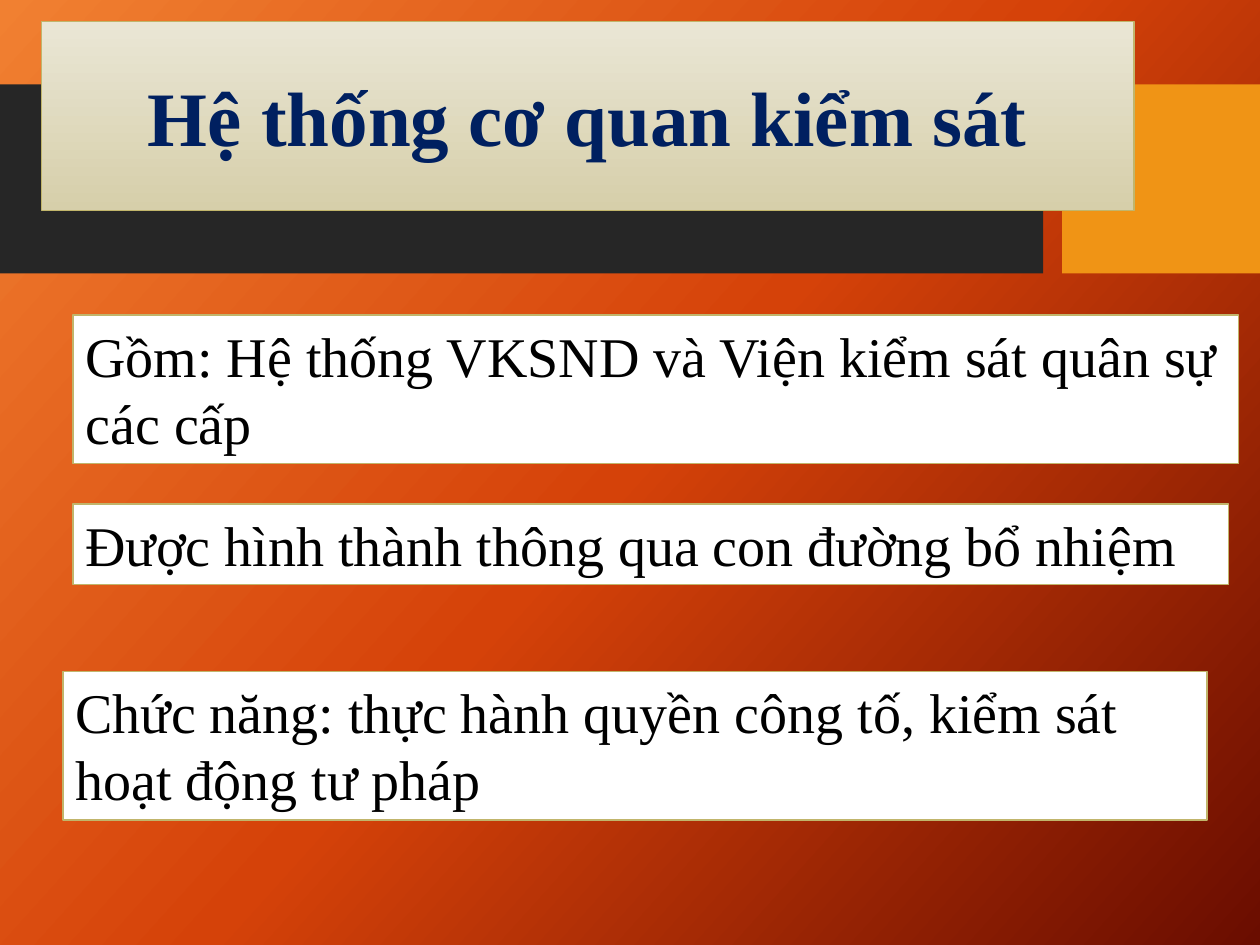
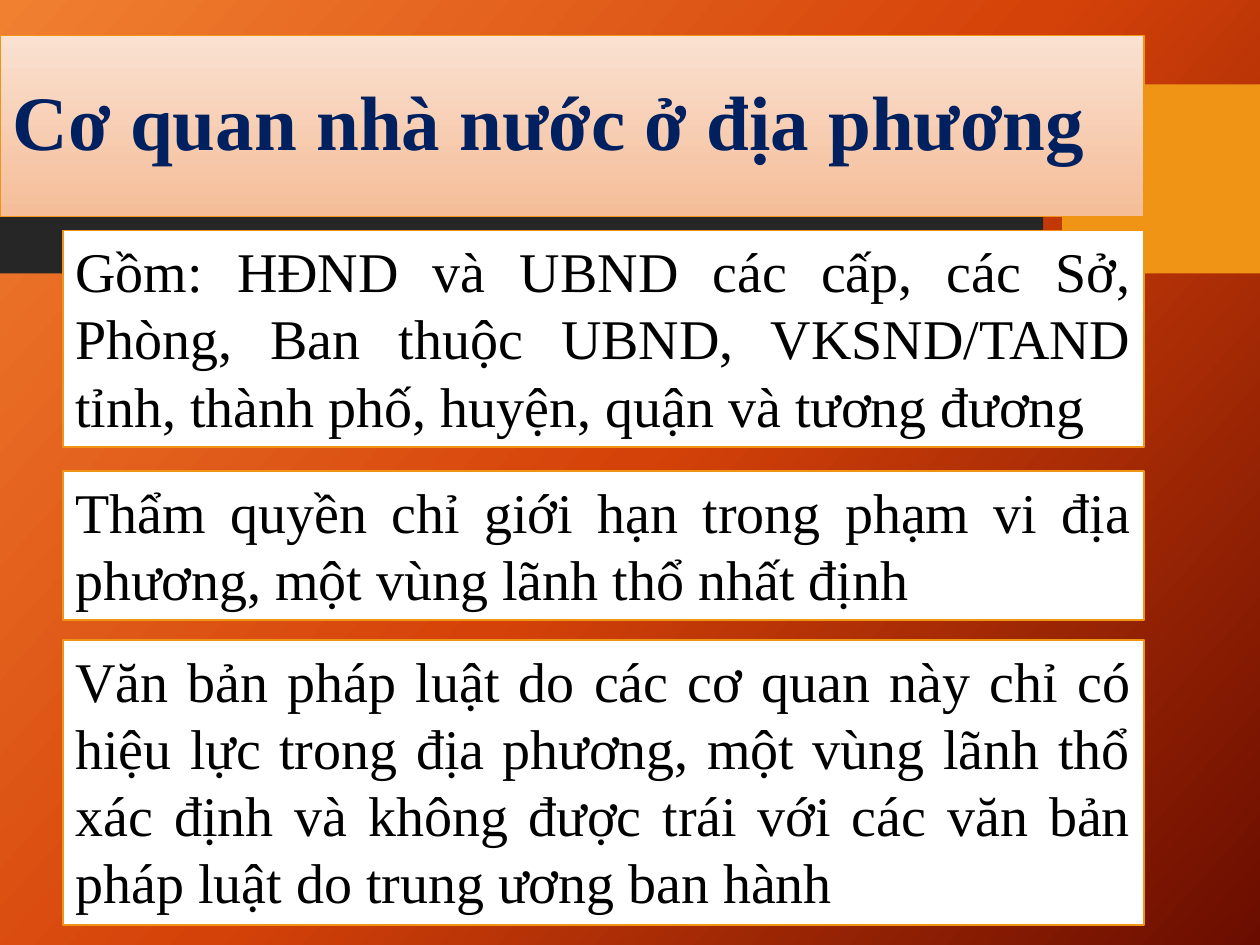
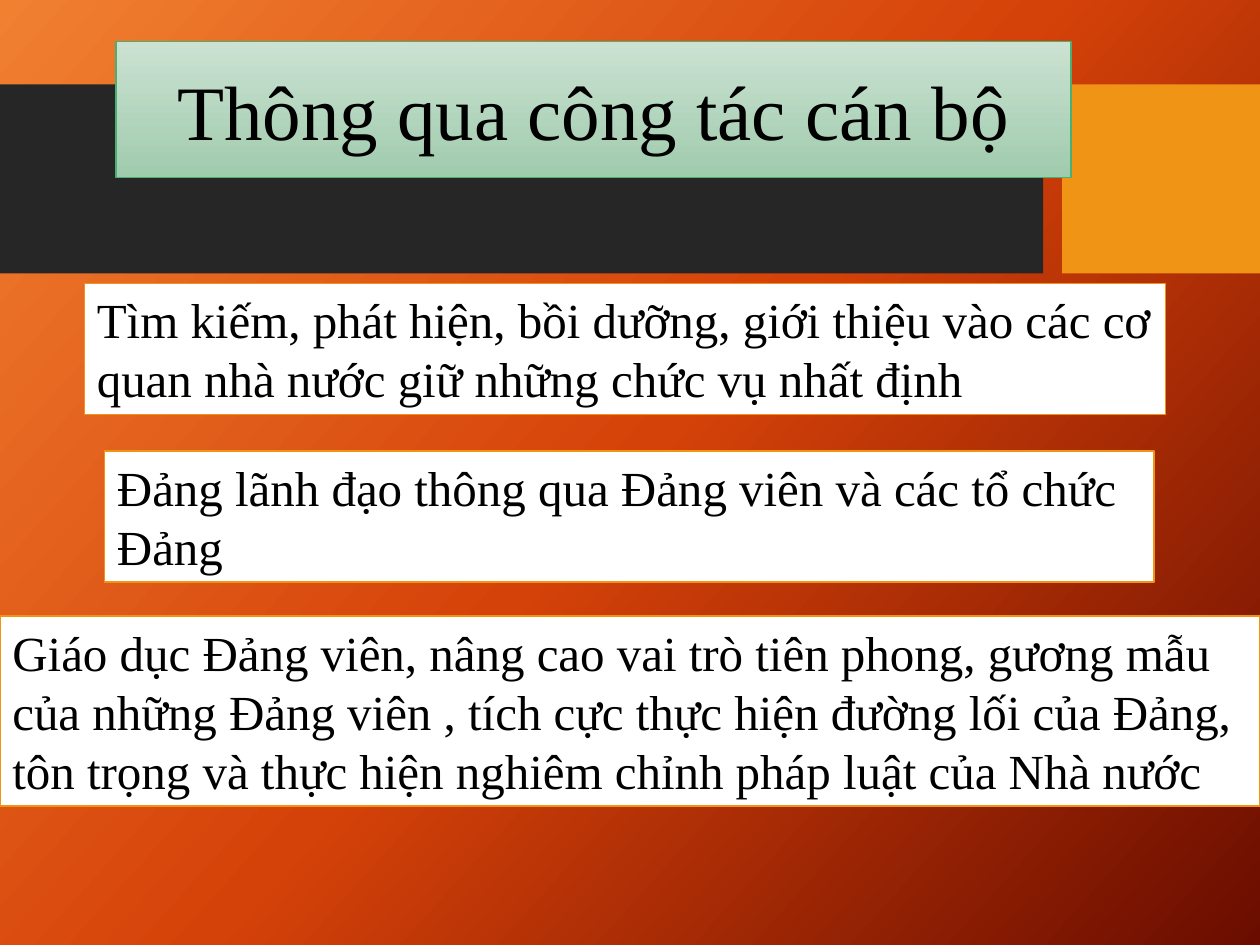
from dataclasses import dataclass

from lxml import etree
from pptx import Presentation
from pptx.dml.color import RGBColor
from pptx.enum.shapes import MSO_SHAPE
from pptx.enum.text import MSO_ANCHOR, MSO_AUTO_SIZE, PP_ALIGN
from pptx.oxml.ns import qn
from pptx.util import Inches, Pt

RECTANGLE = MSO_SHAPE.RECTANGLE
MIDDLE = MSO_ANCHOR.MIDDLE
NO_FIT, GROW = MSO_AUTO_SIZE.NONE, MSO_AUTO_SIZE.SHAPE_TO_FIT_TEXT
LEFT, CENTER, JUSTIFY = PP_ALIGN.LEFT, PP_ALIGN.CENTER, PP_ALIGN.JUSTIFY
TITLE_ONLY = 5


@dataclass(frozen=True)
class Theme:
    font: str = "Times New Roman"
    title_size: int = 44
    text_size: int = 32
    small_text_size: int = 28
    title_line: float = 0.75
    box_line: float = 1
    black: str = "000000"
    white: str = "FFFFFF"
    navy: str = "002060"
    charcoal: str = "262626"
    orange: str = "F09415"
    khaki: str = "C1B56B"
    green: str = "4BAF73"
    background: tuple = ("F18031", "D54209", "6A0D00")
    background_angle: int = 42
    khaki_fade: tuple = ("EAE6D5", "D6CFAA")
    orange_fade: tuple = ("FAE1D1", "F5BD98")
    green_fade: tuple = ("CBE2D2", "A0CBAD")


THEME = Theme()

# Positions are (left, top, width, height) in inches.
BANDS = [
    ((0, 0.67, 8.28, 1.5), THEME.charcoal),
    ((8.43, 0.67, 1.57, 1.5), THEME.orange),
]

SLIDES = [
    {
        "title": "Hệ thống cơ quan kiểm sát",
        "title_at": (0.33, 0.17, 8.67, 1.5),
        "title_style": dict(color=THEME.navy, bold=True, alignment=CENTER),
        "fade": THEME.khaki_fade,
        "title_outline": THEME.khaki,
        "box_outline": THEME.khaki,
        "box_style": dict(size=THEME.text_size),
        "boxes": [
            ((0.58, 2.5, 9.25, 1.18),
             "Gồm: Hệ thống VKSND và Viện kiểm sát quân sự các cấp"),
            ((0.58, 4, 9.17, 0.64),
             "Được hình thành thông qua con đường bổ nhiệm"),
            ((0.5, 5.33, 9.08, 1.18),
             "Chức năng: thực hành quyền công tố, kiểm sát hoạt động tư pháp"),
        ],
    },
    {
        "title": "Cơ quan nhà nước ở địa phương",
        "title_at": (0, 0.28, 9.08, 1.44),
        "title_style": dict(color=THEME.navy, bold=True, line_spacing=0.9),
        "fade": THEME.orange_fade,
        "title_outline": THEME.orange,
        "box_outline": THEME.orange,
        "box_style": dict(size=THEME.text_size, alignment=JUSTIFY),
        "boxes": [
            ((0.5, 1.83, 8.58, 1.72),
             "Gồm: HĐND và UBND các cấp, các Sở, Phòng, Ban thuộc UBND, "
             "VKSND/TAND tỉnh, thành phố, huyện, quận và tương đương"),
            ((0.5, 3.74, 8.58, 1.18),
             "Thẩm quyền chỉ giới hạn trong phạm vi địa phương, "
             "một vùng lãnh thổ nhất định"),
            ((0.5, 5.08, 8.58, 2.26),
             "Văn bản pháp luật do các cơ quan này chỉ có hiệu lực trong địa phương, "
             "một vùng lãnh thổ xác định và không được trái với các văn bản "
             "pháp luật do trung ương ban hành"),
        ],
    },
    {
        "title": "Thông qua công tác cán bộ",
        "title_at": (0.92, 0.33, 7.58, 1.08),
        "title_style": dict(alignment=CENTER),
        "fade": THEME.green_fade,
        "title_outline": THEME.green,
        "box_outline": THEME.orange,
        "box_style": dict(size=THEME.small_text_size),
        "boxes": [
            ((0.67, 2.25, 8.58, 1.04),
             "Tìm kiếm, phát hiện, bồi dưỡng, giới thiệu vào các cơ quan nhà nước "
             "giữ những chức vụ nhất định"),
            ((0.83, 3.58, 8.33, 1.04),
             "Đảng lãnh đạo thông qua Đảng viên và các tổ chức Đảng"),
            ((0, 4.89, 10, 1.51),
             "Giáo dục Đảng viên, nâng cao vai trò tiên phong, gương mẫu của những "
             "Đảng viên , tích cực thực hiện đường lối của Đảng, tôn trọng và "
             "thực hiện nghiêm chỉnh pháp luật của Nhà nước"),
        ],
    },
]


def rgb(color):
    return RGBColor.from_string(color)


def inches(position):
    return [Inches(value) for value in position]


def set_gradient(fill, element, colors, angle):
    """Spread the colours evenly along a clockwise angle."""
    fill.gradient()
    fill.gradient_angle = 360 - angle
    stops = element.find(".//" + qn("a:gsLst"))
    for stop in list(stops):
        stops.remove(stop)
    for index, color in enumerate(colors):
        offset = 100000 * index // (len(colors) - 1)
        stop = etree.SubElement(stops, qn("a:gs"), pos=str(offset))
        etree.SubElement(stop, qn("a:srgbClr"), val=color)


def set_outline(shape, color, width):
    shape.line.color.rgb = rgb(color)
    shape.line.width = Pt(width)


def write_text(shape, text, size, color=THEME.black, bold=False,
               alignment=LEFT, line_spacing=1.0):
    paragraph = shape.text_frame.paragraphs[0]
    paragraph.alignment = alignment
    paragraph.line_spacing = line_spacing
    run = paragraph.add_run()
    run.text = text
    run.font.name = THEME.font
    run.font.size = Pt(size)
    run.font.bold = bold
    run.font.color.rgb = rgb(color)


def decorate_master(presentation, slide):
    """Give the master its background and bands, built by way of a slide."""
    master = presentation.slide_master
    set_gradient(master.background.fill, master.element,
                 THEME.background, THEME.background_angle)
    for index, (position, color) in enumerate(BANDS):
        band = slide.shapes.add_shape(RECTANGLE, *inches(position))
        band.shadow.inherit = False
        band.fill.solid()
        band.fill.fore_color.rgb = rgb(color)
        band.line.fill.background()
        band.element.nvSpPr.cNvPr.set("id", str(101 + index))
        master.shapes.element.insert(2 + index, band.element)


def add_title(slide, content):
    title = slide.shapes.title
    title.left, title.top, title.width, title.height = inches(content["title_at"])
    set_gradient(title.fill, title.element, content["fade"], 90)
    set_outline(title, content["title_outline"], THEME.title_line)
    frame = title.text_frame
    frame.word_wrap = True
    frame.auto_size = NO_FIT
    frame.vertical_anchor = MIDDLE
    write_text(title, content["title"], THEME.title_size, **content["title_style"])


def add_box(slide, position, text, outline, style):
    box = slide.shapes.add_textbox(*inches(position))
    box.fill.solid()
    box.fill.fore_color.rgb = rgb(THEME.white)
    set_outline(box, outline, THEME.box_line)
    box.text_frame.word_wrap = True
    box.text_frame.auto_size = GROW
    write_text(box, text, **style)


def main():
    presentation = Presentation()
    presentation.slide_width, presentation.slide_height = Inches(10), Inches(7.5)
    layout = presentation.slide_layouts[TITLE_ONLY]
    slides = [presentation.slides.add_slide(layout) for _ in SLIDES]
    decorate_master(presentation, slides[0])
    for slide, content in zip(slides, SLIDES):
        add_title(slide, content)
        for position, text in content["boxes"]:
            add_box(slide, position, text, content["box_outline"], content["box_style"])
    presentation.save("out.pptx")


if __name__ == "__main__":
    main()
